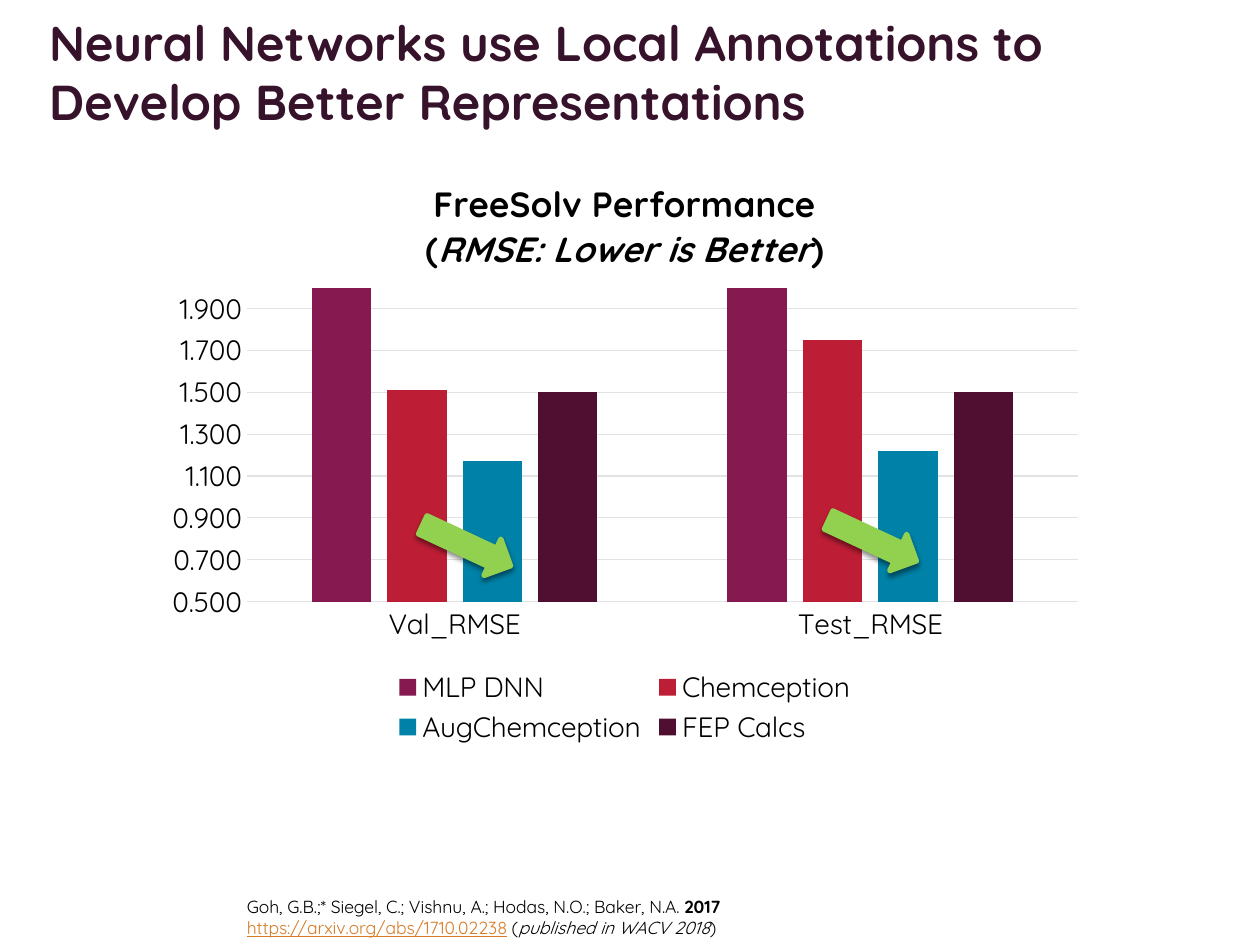
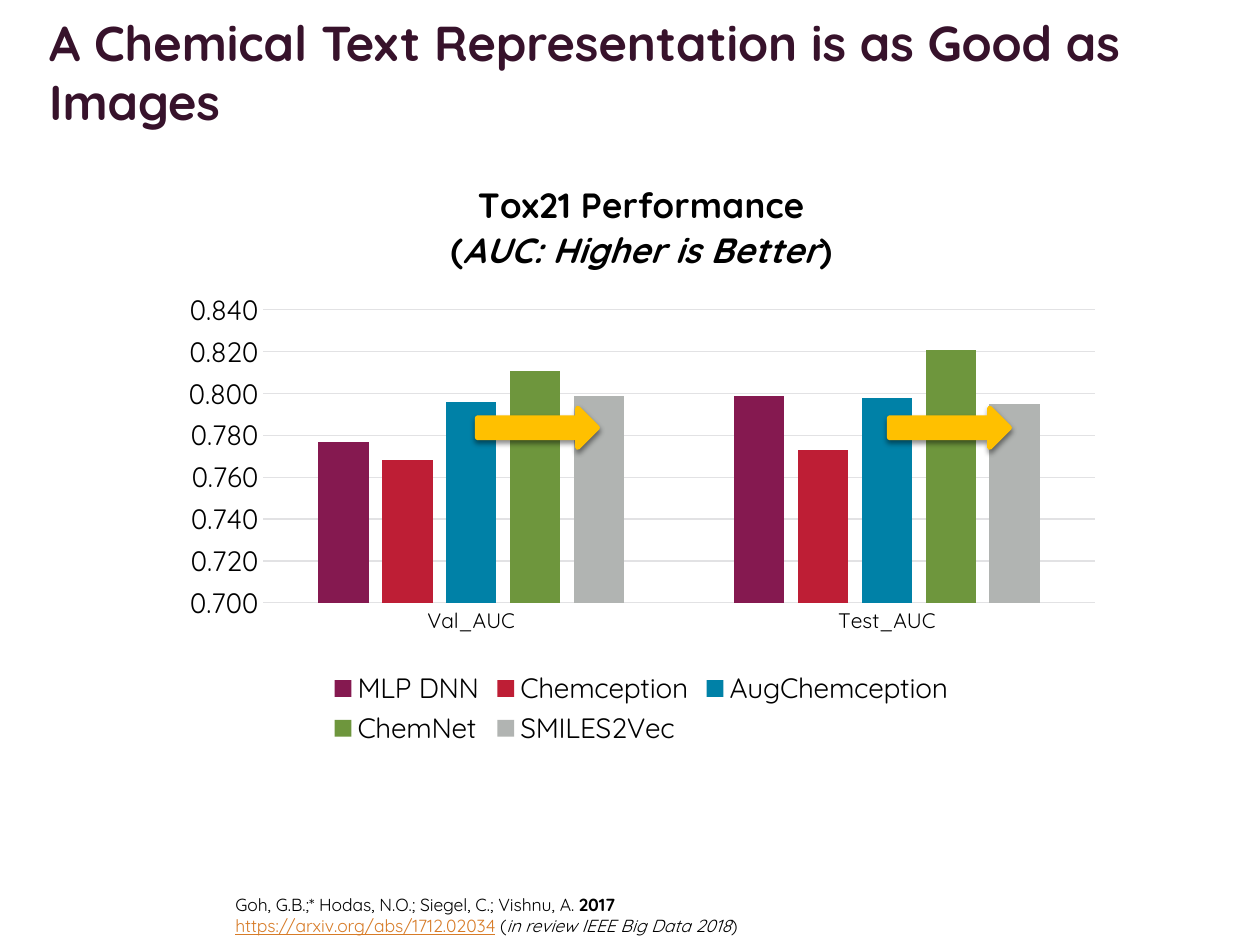
"""Build two slides comparing chemical neural networks with column charts."""
from lxml import etree
from pptx import Presentation
from pptx.chart.data import CategoryChartData
from pptx.dml.color import RGBColor
from pptx.enum.chart import XL_CHART_TYPE, XL_LEGEND_POSITION, XL_TICK_MARK
from pptx.enum.shapes import MSO_SHAPE
from pptx.enum.text import MSO_ANCHOR
from pptx.oxml import parse_xml
from pptx.oxml.ns import nsdecls, qn
from pptx.util import Pt

COLUMNS = XL_CHART_TYPE.COLUMN_CLUSTERED
BOTTOM = XL_LEGEND_POSITION.BOTTOM
NO_TICK = XL_TICK_MARK.NONE
ARROW = MSO_SHAPE.RIGHT_ARROW
MIDDLE = MSO_ANCHOR.MIDDLE

FONT = "Quicksand"
BLACK = RGBColor(0x00, 0x00, 0x00)
TITLE_PLUM = RGBColor(0x37, 0x12, 0x2B)
LINK_ORANGE = RGBColor(0xD7, 0x7B, 0x27)
GRID_GREY = RGBColor(0xE2, 0xE2, 0xE4)
LIME = RGBColor(0x92, 0xD0, 0x50)
AMBER = RGBColor(0xFF, 0xC0, 0x00)
MODEL_COLORS = {
    "MLP DNN": RGBColor(0x85, 0x19, 0x50),
    "Chemception": RGBColor(0xBE, 0x1E, 0x35),
    "AugChemception": RGBColor(0x00, 0x81, 0xA7),
    "FEP Calcs": RGBColor(0x50, 0x0F, 0x30),
    "ChemNet": RGBColor(0x6E, 0x96, 0x3D),
    "SMILES2Vec": RGBColor(0xB1, 0xB4, 0xB2),
}
PLOT_AREA = {"x": 0.1, "y": 0.22, "w": 0.88, "h": 0.53}

SLIDES = [
    {
        "title": "Neural Networks use Local Annotations to Develop Better Representations",
        "authors": "Goh, G.B.;* Siegel, C.; Vishnu, A.; Hodas, N.O.; Baker, N.A. ",
        "link": "https://arxiv.org/abs/1710.02238",
        "status": "published in WACV 2018",
        "citation_at": (134, 508.3),
        "chart_at": (87, 90),
        "heading": "FreeSolv Performance",
        "measure": "RMSE: Lower is Better",
        "categories": ["Val_RMSE", "Test_RMSE"],
        "category_size": 16,
        "scale": {"minimum_scale": 0.5, "maximum_scale": 2, "major_unit": 0.2},
        "series": {"MLP DNN": (2, 2), "Chemception": (1.51, 1.75),
                   "AugChemception": (1.17, 1.22), "FEP Calcs": (1.5, 1.5)},
        "arrows": [(239, 300.2), (470.9, 297.4)],
        "arrow_size": (55.4, 23),
        "arrow_color": LIME,
        "arrow_angle": 25,
    },
    {
        "title": "A Chemical Text Representation is as Good as Images",
        "authors": "Goh, G.B.;* Hodas, N.O.; Siegel, C.; Vishnu, A. ",
        "link": "https://arxiv.org/abs/1712.02034",
        "status": "in review IEEE Big Data 2018",
        "citation_at": (127.4, 507.2),
        "chart_at": (96.5, 90.7),
        "heading": "Tox21 Performance",
        "measure": "AUC: Higher is Better",
        "categories": ["Val_AUC", "Test_AUC"],
        "category_size": 12,
        "scale": {"minimum_scale": 0.7, "maximum_scale": 0.85, "major_unit": 0.02},
        "series": {"MLP DNN": (0.777, 0.799), "Chemception": (0.768, 0.773),
                   "AugChemception": (0.796, 0.798), "ChemNet": (0.811, 0.821),
                   "SMILES2Vec": (0.799, 0.795)},
        "arrows": [(272.9, 233.3), (508.3, 233.3)],
        "arrow_size": (68.4, 22.3),
        "arrow_color": AMBER,
        "arrow_angle": 0,
    },
]


def style_font(font, size, color=BLACK, **values):
    """Set typeface, size, colour and any further font attributes."""
    font.color.rgb = color
    for name, value in {"name": FONT, "size": Pt(size), "bold": False, **values}.items():
        setattr(font, name, value)


def add_spans(para, size, spans):
    """Add styled runs to a paragraph."""
    for text, values in spans:
        span = para.add_run()
        span.text = text
        style_font(span.font, size, **values)


deck = Presentation()
deck.slide_width, deck.slide_height = Pt(720), Pt(540)

for content in SLIDES:
    page = deck.slides.add_slide(deck.slide_layouts[6])

    title = page.shapes.add_textbox(Pt(21), Pt(13), Pt(672.5), Pt(55.5)).text_frame
    title.word_wrap = True
    title.vertical_anchor = MIDDLE
    add_spans(title.paragraphs[0], 28, [(content["title"], {"color": TITLE_PLUM, "bold": True})])

    left, top = content["citation_at"]
    citation = page.shapes.add_textbox(Pt(left), Pt(top), Pt(319), Pt(31.5)).text_frame
    citation.word_wrap = True
    add_spans(citation.paragraphs[0], 10, [(content["authors"], {}), ("2017", {"bold": True})])
    add_spans(citation.add_paragraph(), 10, [
        (content["link"], {"color": LINK_ORANGE, "underline": True}),
        (" (", {}), (content["status"], {"italic": True}), (")", {})])

    data = CategoryChartData(number_format="0.000")
    data.categories = content["categories"]
    for model, values in content["series"].items():
        data.add_series(model, values)
    left, top = content["chart_at"]
    chart = page.shapes.add_chart(COLUMNS, Pt(left), Pt(top), Pt(540), Pt(338.4), data).chart
    style_font(chart.font, 16)

    heading = chart.chart_title.text_frame
    chart.chart_title.include_in_layout = False
    add_spans(heading.paragraphs[0], 20, [(content["heading"], {"bold": True})])
    add_spans(heading.add_paragraph(), 20, [
        ("(", {"bold": True}), (content["measure"], {"bold": True, "italic": True}),
        (")", {"bold": True})])

    chart.has_legend = True
    chart.legend.position = BOTTOM
    chart.legend.include_in_layout = False
    style_font(chart.legend.font, 16)

    plot = chart.plots[0]
    for name, value in {"gap_width": 219, "overlap": -27, "vary_by_categories": False}.items():
        setattr(plot, name, value)
    for series in plot.series:
        series.format.fill.solid()
        series.format.fill.fore_color.rgb = MODEL_COLORS[series.name]

    category_axis, value_axis = chart.category_axis, chart.value_axis
    for axis, size in ((category_axis, content["category_size"]), (value_axis, 16)):
        axis.major_tick_mark = axis.minor_tick_mark = NO_TICK
        style_font(axis.tick_labels.font, size)
    for name, value in content["scale"].items():
        setattr(value_axis, name, value)
    value_axis.tick_labels.number_format = "0.000"
    value_axis.tick_labels.number_format_is_linked = False
    value_axis.format.line.fill.background()
    for line in (category_axis.format.line, value_axis.major_gridlines.format.line):
        line.color.rgb = GRID_GREY
        line.width = Pt(0.75)

    plot_area = chart.element.chart.plotArea
    for old_layout in plot_area.findall(qn("c:layout")):
        plot_area.remove(old_layout)
    layout = parse_xml(f"<c:layout {nsdecls('c')}><c:manualLayout/></c:layout>")
    settings = {"layoutTarget": "inner", "xMode": "edge", "yMode": "edge", **PLOT_AREA}
    for name, value in settings.items():
        etree.SubElement(layout[0], qn(f"c:{name}")).set("val", str(value))
    plot_area.insert(0, layout)

    width, height = content["arrow_size"]
    for left, top in content["arrows"]:
        arrow = page.shapes.add_shape(ARROW, Pt(left), Pt(top), Pt(width), Pt(height))
        arrow.rotation = content["arrow_angle"]
        arrow.fill.solid()
        arrow.fill.fore_color.rgb = arrow.line.color.rgb = content["arrow_color"]
        arrow.line.width = Pt(3)
        arrow.shadow.inherit = False
        effects = arrow.element.spPr.find(qn("a:effectLst"))
        effects.append(parse_xml(
            f'<a:outerShdw {nsdecls("a")} blurRad="{Pt(3)}" dist="{Pt(2)}" dir="5400000" '
            'rotWithShape="0"><a:srgbClr val="000000"><a:alpha val="45000"/></a:srgbClr>'
            '</a:outerShdw>'))

deck.save("out.pptx")
